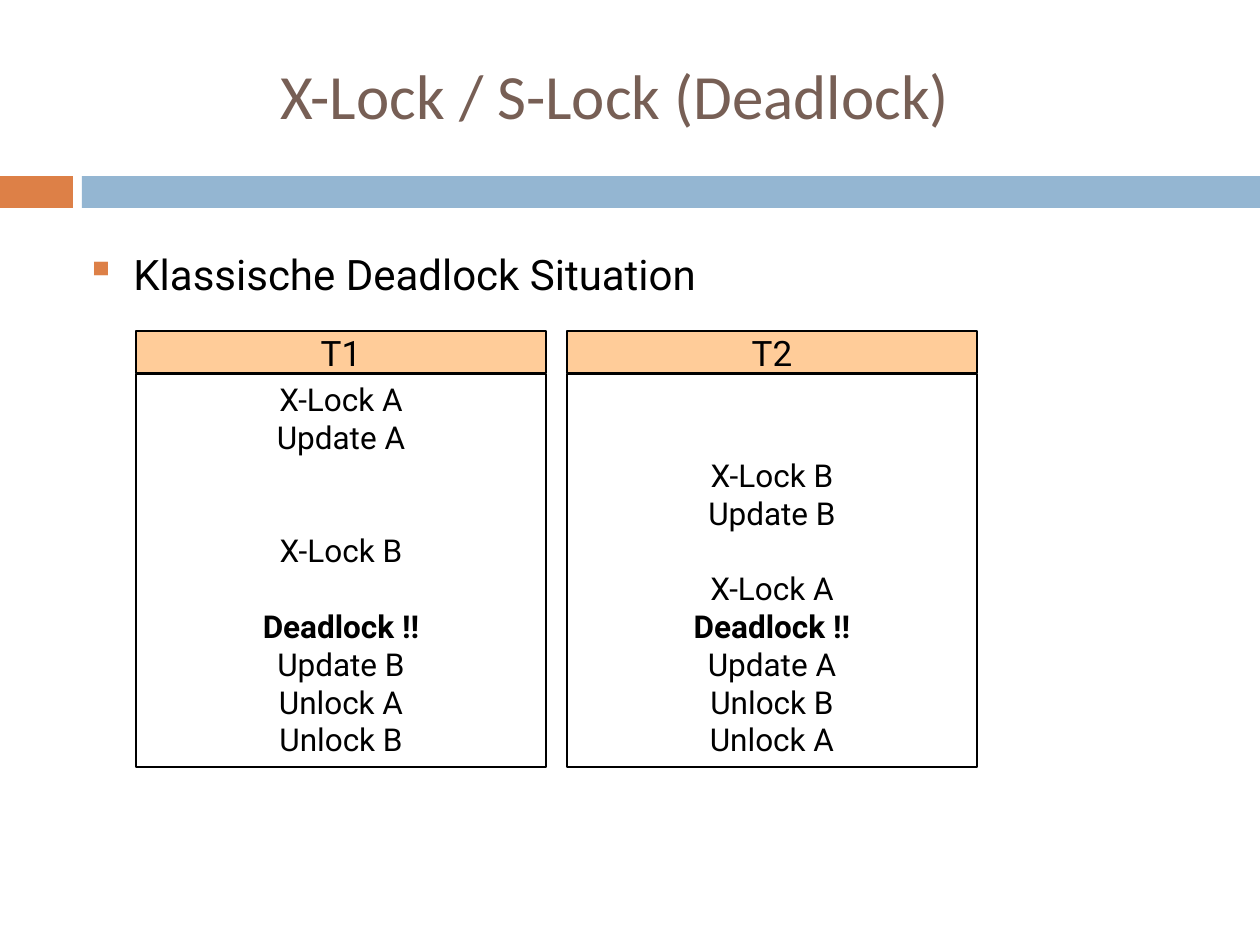
"""Builds the slide on a classic deadlock between two transactions."""
from lxml.etree import SubElement
from pptx import Presentation
from pptx.dml.color import RGBColor
from pptx.enum.shapes import MSO_SHAPE as SHAPE
from pptx.enum.text import MSO_ANCHOR as ANCHOR, PP_ALIGN as ALIGN
from pptx.oxml.ns import qn
from pptx.util import Emu, Pt

BLACK = RGBColor(0x00, 0x00, 0x00)
BROWN = RGBColor(0x77, 0x5F, 0x55)
ORANGE = RGBColor(0xDD, 0x80, 0x47)
BLUE = RGBColor(0x94, 0xB6, 0xD2)
PEACH = RGBColor(0xFF, 0xCC, 0x99)

SCALE = 914400 / 126
LINE_PT = 21.6
DEADLOCK = "Deadlock !!"
SCHEDULES = {
    "T1": ["X-Lock A", "Update A", "", "", "X-Lock B", "",
           DEADLOCK, "Update B", "Unlock A", "Unlock B"],
    "T2": ["", "", "X-Lock B", "Update B", "", "X-Lock A",
           DEADLOCK, "Update A", "Unlock B", "Unlock A"],
}


def px(n):
    return Emu(round(n * SCALE))


class SlideBuilder:
    def __init__(self, prs, font):
        self.s = prs.slides.add_slide(prs.slide_layouts[6])
        self.font = font

    def style(self, p, size, color=BLACK, font=None, bold=False):
        for r in p.runs:
            r.font.name = font or self.font
            r.font.size = Pt(size)
            r.font.bold = bold
            r.font.color.rgb = color

    def rect(self, x, y, w, h, fill=None, line=None):
        sp = self.s.shapes.add_shape(SHAPE.RECTANGLE, px(x), px(y), px(w), px(h))
        sp.shadow.inherit = False
        if fill is None:
            sp.fill.background()
        else:
            sp.fill.solid()
            sp.fill.fore_color.rgb = fill
        if line is None:
            sp.line.fill.background()
        else:
            sp.line.color.rgb = line
            sp.line.width = Pt(1)
        return sp

    def text(self, x, y, w, h, text, size, **style):
        tf = self.s.shapes.add_textbox(px(x), px(y), px(w), px(h)).text_frame
        tf.word_wrap = True
        tf.text = text
        self.style(tf.paragraphs[0], size, **style)
        return tf

    def title(self, x, y, w, h, text):
        tf = self.text(x, y, w, h, text, 36, color=BROWN, font="Calibri")
        tf.vertical_anchor = ANCHOR.MIDDLE
        tf.paragraphs[0].alignment = ALIGN.CENTER

    def bullet(self, x, y, w, h, text, indent):
        p = self.text(x, y, w, h, text, 24).paragraphs[0]
        pPr = p._p.get_or_add_pPr()
        pPr.set("marL", str(px(indent)))
        pPr.set("indent", str(-px(indent)))
        clr = SubElement(pPr, qn("a:buClr"))
        SubElement(clr, qn("a:srgbClr"), val=str(ORANGE))
        SubElement(pPr, qn("a:buChar"), char="▪")

    def header(self, x, y, w, h, text):
        tf = self.rect(x, y, w, h, PEACH, BLACK).text_frame
        tf.word_wrap = False
        tf.vertical_anchor = ANCHOR.MIDDLE
        tf.text = text
        tf.paragraphs[0].alignment = ALIGN.CENTER
        self.style(tf.paragraphs[0], 20)

    def schedule(self, x, y, w, h, steps):
        tf = self.rect(x, y, w, h, line=BLACK).text_frame
        tf.word_wrap = True
        tf.vertical_anchor = ANCHOR.TOP
        slots = [i for i, step in enumerate(steps) if step]
        tf.text = "\n".join(steps[i] for i in slots)
        tf.margin_top += Pt(slots[0] * LINE_PT)
        for p, slot, previous in zip(tf.paragraphs, slots, slots[:1] + slots):
            p.alignment = ALIGN.CENTER
            p.space_before = Pt(max(slot - previous - 1, 0) * LINE_PT)
            self.style(p, 18, bold=p.text == DEADLOCK)


def main():
    prs = Presentation()
    prs.slide_width, prs.slide_height = px(1260), px(945)
    b = SlideBuilder(prs, "Roboto")
    b.rect(0, 176, 73, 32, ORANGE)
    b.rect(82, 176, 1178, 32, BLUE)
    b.title(55, 31, 1120, 126, "X-Lock / S-Lock (Deadlock)")
    b.bullet(73, 242, 1124, 73, "Klassische Deadlock Situation", 48)
    for i, (name, steps) in enumerate(SCHEDULES.items()):
        x = 136 + i * 431
        b.header(x, 331, 410, 42, name)
        b.schedule(x, 374, 410, 393, steps)
    prs.save("out.pptx")


if __name__ == "__main__":
    main()
